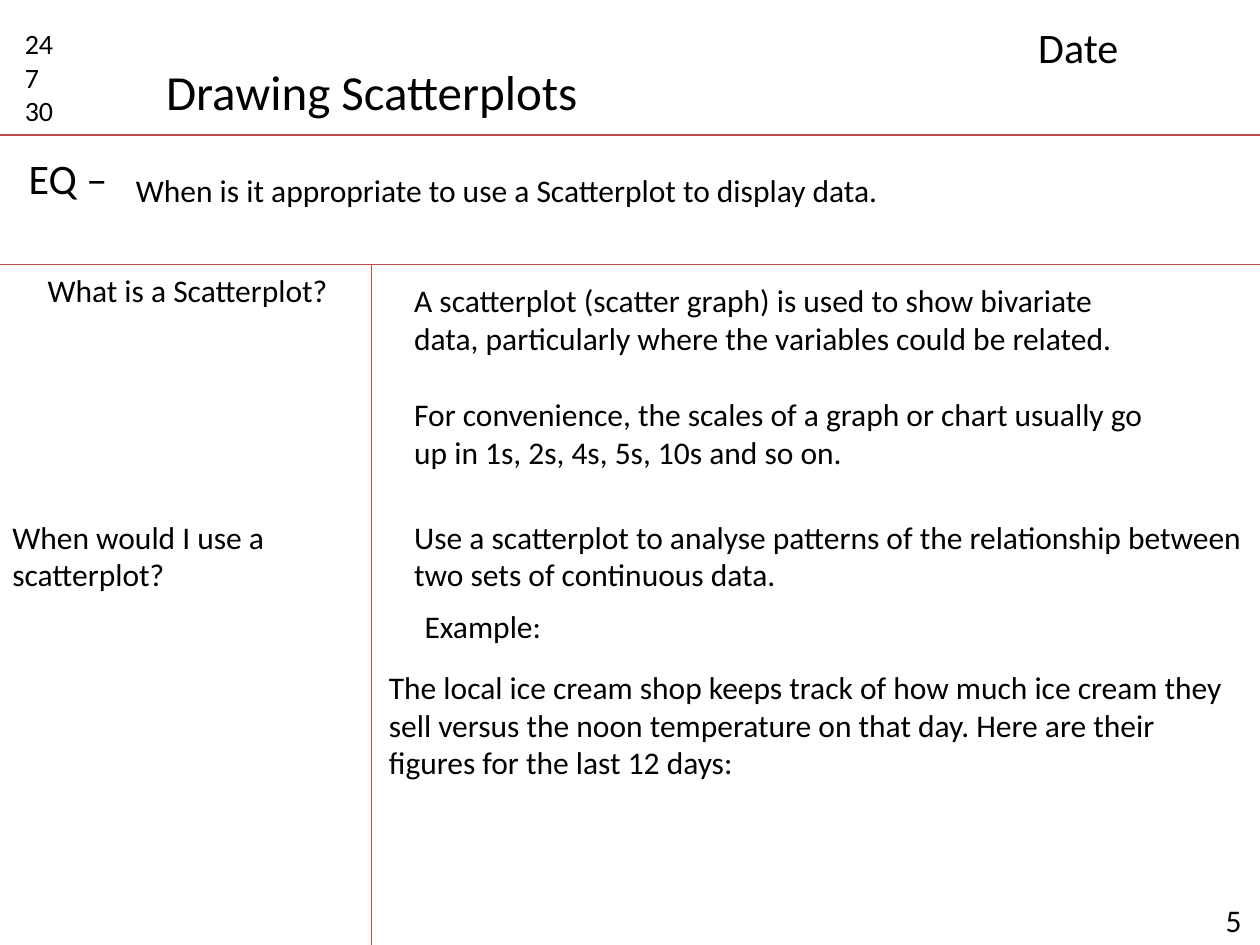
from dataclasses import dataclass

from lxml.etree import SubElement
from pptx import Presentation
from pptx.dml.color import RGBColor
from pptx.enum.shapes import MSO_CONNECTOR as Connector
from pptx.enum.text import MSO_AUTO_SIZE as AutoSize
from pptx.oxml.ns import qn
from pptx.slide import Slide
from pptx.util import Cm, Pt

BLACK = RGBColor(0x00, 0x00, 0x00)
RULE_RED = RGBColor(0xBF, 0x4C, 0x48)
PAGE_WIDTH, PAGE_HEIGHT = 25.4, 19.05
HEADER_BOTTOM, QUESTION_BOTTOM, CUE_RIGHT = 2.72, 5.33, 7.49
NOTES_LEFT, USAGE_TOP = 8.1, 10.31


@dataclass(frozen=True)
class Rule:
    start: tuple[float, float]
    end: tuple[float, float]


@dataclass(frozen=True)
class Note:
    paragraphs: tuple[str, ...]
    left: float
    top: float
    width: float
    height: float
    size: float = 18
    gap: float = 0
    wrap: bool = True


RULES = (
    Rule((0, HEADER_BOTTOM), (PAGE_WIDTH, HEADER_BOTTOM)),
    Rule((0, QUESTION_BOTTOM), (PAGE_WIDTH, QUESTION_BOTTOM)),
    Rule((CUE_RIGHT, QUESTION_BOTTOM), (CUE_RIGHT, PAGE_HEIGHT)),
)

NOTES = (
    Note(("5",), 24.46, 18.03, 0.94, 1.02),
    Note(("24", "7", "30"), 0.25, 0.41, 1.6, 2.31, size=16),
    Note(("Drawing Scatterplots",), 3.1, 1.12, 8.92, 1.45, size=28, wrap=False),
    Note(("Date",), 20.68, 0.3, 4.39, 1.27, size=24),
    Note(("EQ –",), 0.33, 2.95, 23.95, 1.27, size=24),
    Note(("When is it appropriate to use a Scatterplot to display data.",),
         2.49, 3.33, 22.4, 1.02),
    Note(("What is a Scatterplot?",), 0.71, QUESTION_BOTTOM, 6.71, 1.02),
    Note(("When would I use a scatterplot?",), 0, USAGE_TOP, CUE_RIGHT, 1.8),
    Note(("A scatterplot (scatter graph) is used to show bivariate data, "
          "particularly where the variables could be related.",
          "For convenience, the scales of a graph or chart usually go up in "
          "1s, 2s, 4s, 5s, 10s and so on."),
         NOTES_LEFT, 5.54, 15.19, 4.11, gap=22),
    Note(("Use a scatterplot to analyse patterns of the relationship between "
          "two sets of continuous data.",),
         NOTES_LEFT, USAGE_TOP, 17.3, 1.8),
    Note(("Example:",), 8.31, 12.12, 12.4, 1.02),
    Note(("The local ice cream shop keeps track of how much ice cream they "
          "sell versus the noon temperature on that day. Here are their "
          "figures for the last 12 days:",),
         7.59, 13.34, 17.81, 2.57),
)


def draw_rule(page: Slide, rule: Rule) -> None:
    ends = [Cm(length) for length in (*rule.start, *rule.end)]
    connector = page.shapes.add_connector(Connector.STRAIGHT, *ends)
    connector.line.color.rgb = RULE_RED
    connector.line.width = Pt(0.75)
    SubElement(connector._element.spPr, qn("a:effectLst"))


def draw_note(page: Slide, note: Note) -> None:
    box = page.shapes.add_textbox(
        Cm(note.left), Cm(note.top), Cm(note.width), Cm(note.height))
    frame = box.text_frame
    frame.word_wrap = note.wrap
    frame.auto_size = AutoSize.SHAPE_TO_FIT_TEXT
    frame.text = "\n".join(note.paragraphs)
    for index, para in enumerate(frame.paragraphs):
        if index and note.gap:
            para.space_before = Pt(note.gap)
        para.font.name = "Calibri"
        para.font.size = Pt(note.size)
        para.font.color.rgb = BLACK


def main() -> None:
    """Build the scatterplot note-taking slide."""
    deck = Presentation()
    deck.slide_width, deck.slide_height = Cm(PAGE_WIDTH), Cm(PAGE_HEIGHT)
    page = deck.slides.add_slide(deck.slide_layouts[6])
    for rule in RULES:
        draw_rule(page, rule)
    for note in NOTES:
        draw_note(page, note)
    deck.save("out.pptx")


if __name__ == "__main__":
    main()
